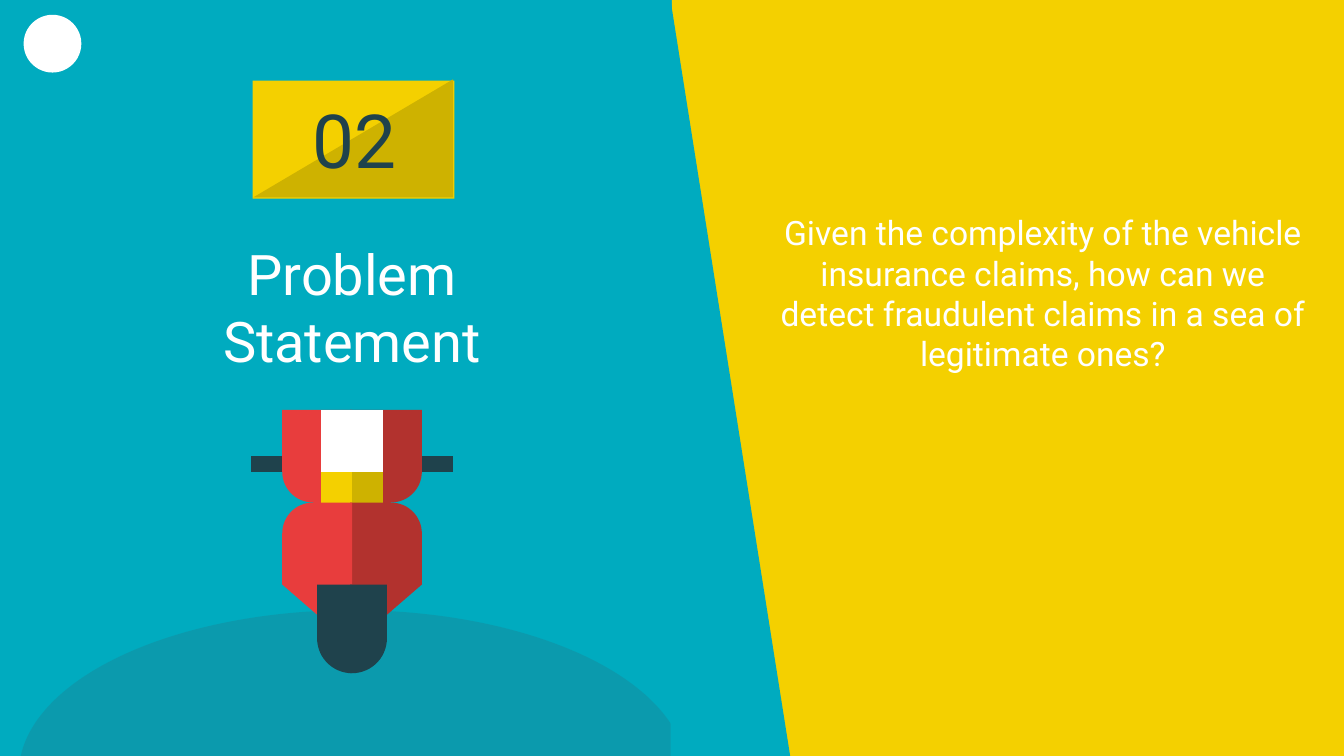
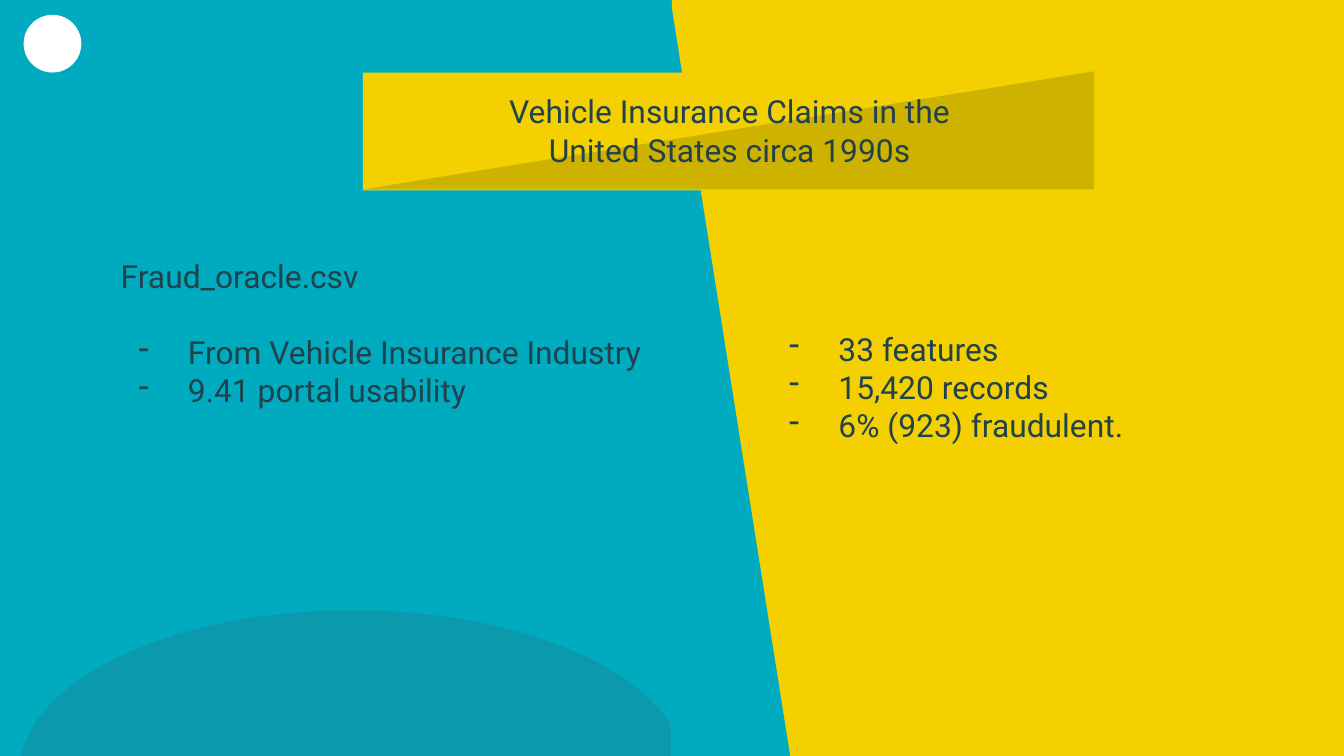
"""Build two slides on vehicle insurance fraud."""
from dataclasses import dataclass
from math import cos, radians, sin
from typing import NamedTuple

from lxml import etree
from pptx import Presentation
from pptx.dml.color import RGBColor
from pptx.enum.shapes import MSO_SHAPE
from pptx.enum.text import MSO_ANCHOR, PP_ALIGN
from pptx.oxml.ns import qn
from pptx.shapes.autoshape import Shape
from pptx.slide import Slide
from pptx.text.text import _Paragraph
from pptx.util import Pt

RECTANGLE = MSO_SHAPE.RECTANGLE
OVAL = MSO_SHAPE.OVAL
RIGHT_TRIANGLE = MSO_SHAPE.RIGHT_TRIANGLE
LEFT, CENTER = PP_ALIGN.LEFT, PP_ALIGN.CENTER
TOP, MIDDLE = MSO_ANCHOR.TOP, MSO_ANCHOR.MIDDLE


@dataclass(frozen=True)
class Theme:
    """Colours, type sizes and font of the deck."""

    teal: str = "00ABBF"
    yellow: str = "F4D000"
    dark_yellow: str = "CEB200"
    hill: str = "336574"
    ink: str = "1F424C"
    red: str = "E83D3D"
    dark_red: str = "B2322E"
    white: str = "FFFFFF"
    font: str = "Roboto"
    number: int = 40
    heading: int = 30
    statement: int = 18
    body: int = 17


THEME = Theme()
WIDTH, HEIGHT = 720, 405
INSET = 7.2
BULLET_INDENT, BULLET_HANG = 36, 26.5
SCOOTER_AXIS, SCOOTER_TOP = 188.6, 219.6
SEAM_OVERLAP = 1


class Area(NamedTuple):
    """A rectangle in points."""

    left: float
    top: float
    width: float
    height: float


class Line(NamedTuple):
    """One paragraph of text."""

    text: str
    bullet: bool = False
    space_before: float = 0


class Part(NamedTuple):
    """The right half of a scooter part, measured from its axis and top."""

    left_color: str
    right_color: str
    outline: list[tuple[float, float]]


def paint(shape: Shape, color: str, opacity: int = 100) -> Shape:
    """Fill a shape flatly, without outline or shadow."""
    shape.shadow.inherit = False
    shape.line.fill.background()
    shape.fill.solid()
    shape.fill.fore_color.rgb = RGBColor.from_string(color)
    if opacity < 100:
        tint = shape.fill._xPr.find(f".//{qn('a:srgbClr')}")
        etree.SubElement(tint, qn("a:alpha"), val=str(opacity * 1000))
    return shape


def add_block(slide: Slide, kind: MSO_SHAPE, area: Area, color: str, opacity: int = 100) -> Shape:
    """Add a flat preset shape."""
    return paint(slide.shapes.add_shape(kind, *map(Pt, area)), color, opacity)


def add_dash(para: _Paragraph) -> None:
    """Give a paragraph a hanging dash bullet."""
    properties = para._p.get_or_add_pPr()
    properties.set("marL", str(Pt(BULLET_INDENT)))
    properties.set("indent", str(-Pt(BULLET_HANG)))
    color = etree.SubElement(properties, qn("a:buClr"))
    etree.SubElement(color, qn("a:srgbClr"), val=THEME.ink)
    etree.SubElement(properties, qn("a:buChar"), char="-")


def add_text(slide: Slide, area: Area, lines: list[Line], *, size: int,
             color: str = THEME.ink, align: PP_ALIGN = LEFT, anchor: MSO_ANCHOR = TOP) -> None:
    """Add a wrapped text box holding the given lines."""
    frame = slide.shapes.add_textbox(*map(Pt, area)).text_frame
    frame.word_wrap = True
    frame.vertical_anchor = anchor
    frame.margin_left = frame.margin_right = Pt(INSET)
    frame.margin_top = frame.margin_bottom = Pt(INSET)
    for index, line in enumerate(lines):
        para = frame.add_paragraph() if index else frame.paragraphs[0]
        para.alignment = align
        if line.space_before:
            para.space_before = Pt(line.space_before)
        if line.bullet:
            add_dash(para)
        span = para.add_run()
        span.text = line.text
        span.font.name = THEME.font
        span.font.size = Pt(size)
        span.font.color.rgb = RGBColor.from_string(color)


def add_badge(slide: Slide, area: Area, lines: list[Line], size: int) -> None:
    """Add a two-tone title plate."""
    add_block(slide, RECTANGLE, area, THEME.yellow)
    shade = Area(area.left + 0.4, area.top - 0.7, area.width - 1, area.height)
    triangle = add_block(slide, RIGHT_TRIANGLE, shade, THEME.dark_yellow)
    triangle._element.spPr.get_or_add_xfrm().set("flipH", "1")
    label = Area(area.left + 0.3, area.top + 3.6, area.width, 54.7)
    add_text(slide, label, lines, size=size, align=CENTER, anchor=MIDDLE)


def corner(x: float, y: float, radius: float, start: int) -> list[tuple[float, float]]:
    """Return points on a quarter circle, clockwise from a start angle."""
    angles = [radians(start + step) for step in range(0, 91, 6)]
    return [(x + radius * cos(angle), y + radius * sin(angle)) for angle in angles]


def add_half(slide: Slide, outline: list[tuple[float, float]], side: int, color: str) -> None:
    """Add one side of a scooter part; the right side runs under the seam."""
    seam = -SEAM_OVERLAP if side > 0 else 0
    points = [(Pt(SCOOTER_AXIS + (side * x if x > 0.01 else seam)), Pt(SCOOTER_TOP + y))
              for x, y in outline]
    builder = slide.shapes.build_freeform(*points[0], scale=1.0)
    builder.add_line_segments(points[1:], close=True)
    paint(builder.convert_to_shape(), color)


def add_scooter(slide: Slide) -> None:
    """Draw the scooter seen from the front, from back to front."""
    parts = [
        Part(THEME.ink, THEME.ink, [(33.1, 24.5), (54, 24.5), (54, 33.1), (33.1, 33.1)]),
        Part(THEME.red, THEME.dark_red,
             [(0, 0), (37.4, 0), *corner(20.9, 33.1, 16.5, 0), (0, 66.2)]),
        Part(THEME.yellow, THEME.dark_yellow,
             [(0, 24.5), (16.6, 24.5), (16.6, 57.6), (0, 57.6)]),
        Part(THEME.red, THEME.dark_red,
             [(0, 49.7), *corner(20.9, 66.2, 16.5, -90), (37.4, 93.6), (15.8, 112.3), (0, 112.3)]),
        Part(THEME.ink, THEME.ink, [(0, 93.6), (18.7, 93.6), *corner(0, 122.4, 18.7, 0)]),
        Part(THEME.white, THEME.white, [(0, 0), (16.6, 0), (16.6, 33.1), (0, 33.1)]),
    ]
    for part in parts:
        add_half(slide, part.outline, 1, part.right_color)
        add_half(slide, part.outline, -1, part.left_color)


def add_page(deck: Presentation) -> Slide:
    """Add a slide with the shared split background and white disc."""
    page = deck.slides.add_slide(deck.slide_layouts[6])
    page.background.fill.solid()
    page.background.fill.fore_color.rgb = RGBColor.from_string(THEME.teal)
    add_block(page, RECTANGLE, Area(WIDTH / 2, 0, WIDTH / 2, HEIGHT), THEME.yellow)
    add_block(page, OVAL, Area(10.1, 326.9, 357.8, 175), THEME.hill, 23)
    add_block(page, RIGHT_TRIANGLE, Area(359.2, 0, 64.1, HEIGHT), THEME.teal)
    disc = add_block(page, OVAL, Area(13, 8.3, 30.2, 30.2), THEME.white)
    disc.line.color.rgb = RGBColor.from_string(THEME.white)
    disc.line.width = Pt(0.75)
    return page


def add_problem(deck: Presentation) -> None:
    """Add the problem statement slide."""
    page = add_page(deck)
    add_badge(page, Area(135.4, 43.2, 108, 63.2), [Line("02")], THEME.number)
    add_text(page, Area(69.1, 121, 239, 84.2), [Line("Problem Statement")],
             size=THEME.heading, color=THEME.white, align=CENTER)
    add_scooter(page)
    question = ("Given the complexity of the vehicle insurance claims, how can we "
                "detect fraudulent claims in a sea of legitimate ones?")
    add_text(page, Area(410.4, 106.6, 296.6, 84.2), [Line(question)],
             size=THEME.statement, color=THEME.white, align=CENTER)


def add_dataset(deck: Presentation) -> None:
    """Add the slide describing the claims data."""
    page = add_page(deck)
    title = [Line("Vehicle Insurance Claims in the"), Line("United States circa 1990s")]
    add_badge(page, Area(194.4, 38.9, 392.4, 63.2), title, THEME.body)
    source = [Line("Fraud_oracle.csv"),
              Line("From Vehicle Insurance Industry", True, 20.4),
              Line("9.41 portal usability", True)]
    add_text(page, Area(57.6, 130.3, 306.7, 218.2), source, size=THEME.body)
    facts = [Line(fact, True) for fact in ("33 features", "15,420 records", "6% (923) fraudulent.")]
    add_text(page, Area(406.1, 169.2, 306.7, 94.3), facts, size=THEME.body)


def main() -> None:
    """Build and save the deck."""
    deck = Presentation()
    deck.slide_width, deck.slide_height = Pt(WIDTH), Pt(HEIGHT)
    add_problem(deck)
    add_dataset(deck)
    deck.save("out.pptx")


if __name__ == "__main__":
    main()
